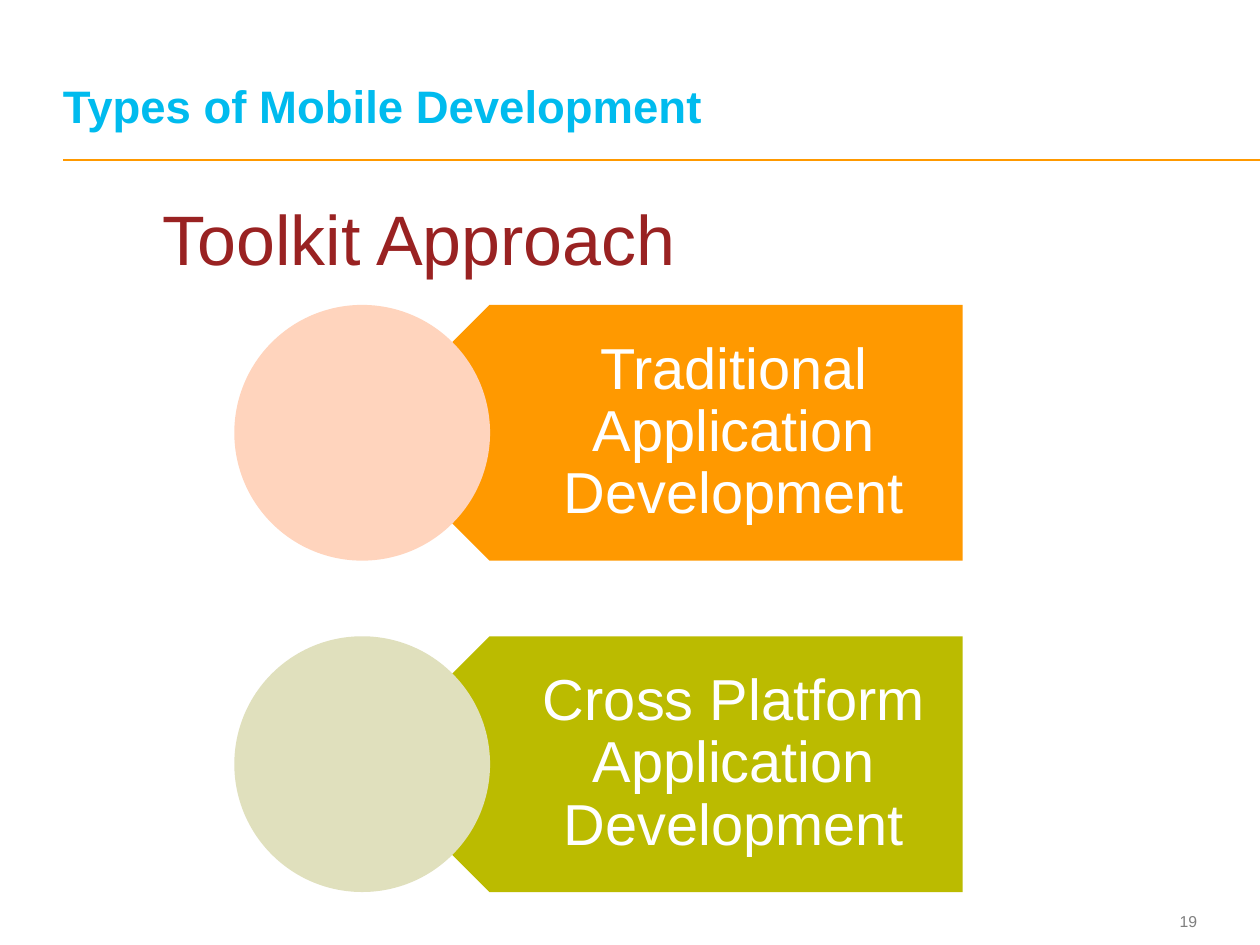
"""Builds the slide on types of mobile development."""
from dataclasses import dataclass
from typing import Any

import lxml.etree
import pptx
import pptx.dml.color
import pptx.enum.shapes
import pptx.enum.text
import pptx.oxml.ns
import pptx.util

Inches = pptx.util.Inches
Pt = pptx.util.Pt
RGB = pptx.dml.color.RGBColor.from_string
ALIGN = pptx.enum.text.PP_ALIGN
ANCHOR = pptx.enum.text.MSO_ANCHOR
SHAPE = pptx.enum.shapes.MSO_SHAPE


@dataclass(frozen=True)
class Theme:
    font: str = "Arial"
    title: str = "00BBEE"
    rule: str = "FF9900"
    heading: str = "992222"
    label: str = "FFFFFF"
    number: str = "7F7F7F"
    title_size: int = 26
    heading_size: int = 40
    label_size: int = 33
    number_size: int = 9


@dataclass(frozen=True)
class Box:
    left: float
    top: float
    width: float
    height: float

    def lengths(self) -> tuple:
        return tuple(Inches(v) for v in (self.left, self.top, self.width, self.height))


@dataclass(frozen=True)
class Approach:
    label: str
    banner: str
    circle: str


THEME = Theme()
NO_INSETS = (0, 0, 0, 0)
APPROACHES = (
    Approach("Traditional Application Development", "FF9900", "FFD4BD"),
    Approach("Cross Platform Application Development", "BBBB00", "E0E0BD"),
)
FIRST_TOP, PITCH, DIAMETER = 2.42, 2.63, 2.03


def set_all(target: Any, values: dict) -> None:
    for name, value in values.items():
        setattr(target, name, value)


def add_text(s: Any, box: Box, text: str, size: int, color: str, bold: bool = False,
             align: Any = ALIGN.LEFT, anchor: Any = ANCHOR.TOP,
             insets: tuple = (0.1, 0.05, 0.1, 0.05), spacing: Any = None) -> None:
    tf = s.shapes.add_textbox(*box.lengths()).text_frame
    left, top, right, bottom = (Inches(v) for v in insets)
    set_all(tf, {"word_wrap": True, "vertical_anchor": anchor, "margin_left": left,
                 "margin_top": top, "margin_right": right, "margin_bottom": bottom})
    p = tf.paragraphs[0]
    set_all(p, {"alignment": align, "line_spacing": spacing})
    r = p.add_run()
    r.text = text
    set_all(r.font, {"name": THEME.font, "size": Pt(size), "bold": bold})
    r.font.color.rgb = RGB(color)


def add_filled(s: Any, kind: Any, box: Box, color: str, rotation: float = 0) -> None:
    sp = s.shapes.add_shape(kind, *box.lengths())
    sp.rotation = rotation
    sp.shadow.inherit = False
    sp.fill.solid()
    sp.fill.fore_color.rgb = RGB(color)
    sp.line.fill.background()


def add_rule(s: Any, left: float, right: float, y: float) -> None:
    line = s.shapes.add_connector(pptx.enum.shapes.MSO_CONNECTOR.STRAIGHT,
                                  Inches(left), Inches(y), Inches(right), Inches(y))
    line.line.color.rgb = RGB(THEME.rule)
    line.line.width = Pt(1)
    lxml.etree.SubElement(line._element.spPr, pptx.oxml.ns.qn("a:effectLst"))


def add_approach(s: Any, approach: Approach, top: float) -> None:
    add_filled(s, SHAPE.PENTAGON, Box(2.87, top, 4.77, DIAMETER), approach.banner, 180)
    add_text(s, Box(3.38, top, 4.26, DIAMETER), approach.label, THEME.label_size,
             THEME.label, align=ALIGN.CENTER, anchor=ANCHOR.MIDDLE,
             insets=(0.89, 0.14, 0.26, 0.14), spacing=0.9)
    add_filled(s, SHAPE.OVAL, Box(1.86, top, DIAMETER, DIAMETER), approach.circle)


def main() -> None:
    prs = pptx.Presentation()
    set_all(prs, {"slide_width": Inches(10), "slide_height": Inches(7.5)})
    s = prs.slides.add_slide(prs.slide_layouts[6])
    add_rule(s, 0.5, 10, 1.27)
    add_text(s, Box(8.91, 7.18, 0.59, 0.27), "19", THEME.number_size, THEME.number,
             align=ALIGN.RIGHT, anchor=ANCHOR.MIDDLE, insets=NO_INSETS)
    add_text(s, Box(0.5, 0.19, 8.97, 0.86), "Types of Mobile Development",
             THEME.title_size, THEME.title, bold=True, anchor=ANCHOR.BOTTOM,
             insets=NO_INSETS, spacing=Pt(THEME.title_size))
    for i, approach in enumerate(APPROACHES):
        add_approach(s, approach, FIRST_TOP + i * PITCH)
    add_text(s, Box(1.19, 1.5, 6.48, 0.77), "Toolkit Approach",
             THEME.heading_size, THEME.heading)
    prs.save("out.pptx")


if __name__ == "__main__":
    main()
